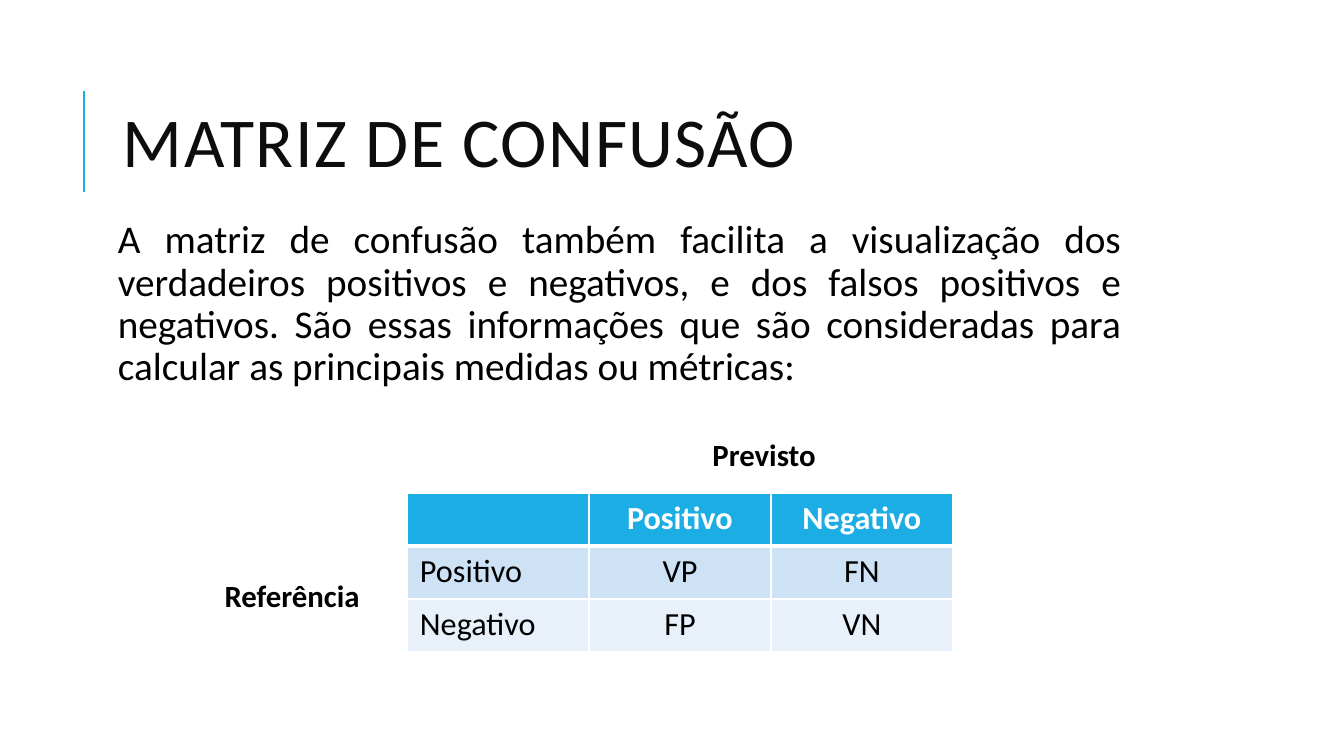
import pptx
import pptx.dml.color
import pptx.enum.shapes
import pptx.enum.text
import pptx.oxml.ns
import pptx.util
from lxml import etree

RGBColor = pptx.dml.color.RGBColor
ALIGN = pptx.enum.text.PP_ALIGN
ANCHOR = pptx.enum.text.MSO_ANCHOR

BLUE = RGBColor(0x1C, 0xAD, 0xE4)
PALE_BLUE = RGBColor(0xCD, 0xE3, 0xF5)
PALER_BLUE = RGBColor(0xE8, 0xF1, 0xFA)
WHITE = RGBColor(0xFF, 0xFF, 0xFF)
BLACK = RGBColor(0, 0, 0)
NEAR_BLACK = RGBColor(0x0D, 0x0D, 0x0D)

FONT = "Calibri"
PIXELS_PER_INCH = 100.8

TITLE = "MATRIZ DE CONFUSÃO"
EXPLANATION = (
    "A matriz de confusão também facilita a visualização dos verdadeiros "
    "positivos e negativos, e dos falsos positivos e negativos. São essas "
    "informações que são consideradas para calcular as principais medidas "
    "ou métricas:"
)
MATRIX = [
    ["", "Positivo", "Negativo"],
    ["Positivo", "VP", "FN"],
    ["Negativo", "FP", "VN"],
]
ROW_FILLS = [BLUE, PALE_BLUE, PALER_BLUE]


def px(pixels):
    """Turn whole pixels into EMU."""
    return pptx.util.Emu(round(pixels * 914400 / PIXELS_PER_INCH))


def style_paragraph(paragraph, size, color, bold=False, align=ALIGN.LEFT):
    """Align a paragraph and format its runs."""
    paragraph.alignment = align
    for run in paragraph.runs:
        run.font.name = FONT
        run.font.size = pptx.util.Pt(size)
        run.font.bold = bold
        run.font.color.rgb = color


def add_text(slide, box, text, size, color, **style):
    """Add a wrapping text box and return its text frame."""
    text_frame = slide.shapes.add_textbox(*map(px, box)).text_frame
    text_frame.word_wrap = True
    text_frame.text = text
    style_paragraph(text_frame.paragraphs[0], size, color, **style)
    return text_frame


def add_title(slide):
    """Add the letter-spaced heading, centred vertically."""
    text_frame = add_text(slide, (113, 65, 1072, 165), TITLE, 50, NEAR_BLACK)
    text_frame.vertical_anchor = ANCHOR.MIDDLE
    paragraph = text_frame.paragraphs[0]
    paragraph.line_spacing = 0.8
    paragraph.runs[0].font._element.set("spc", "100")


def add_explanation(slide):
    """Add the justified paragraph below the heading."""
    text_frame = add_text(slide, (113, 215, 1013, 466), EXPLANATION, 28, BLACK,
                          align=ALIGN.JUSTIFY)
    text_frame.margin_left = text_frame.margin_right = px(5)
    text_frame.margin_top = text_frame.margin_bottom = px(5)
    paragraph = text_frame.paragraphs[0]
    paragraph.line_spacing = 0.9
    paragraph.space_before = pptx.util.Pt(12)
    paragraph.space_after = pptx.util.Pt(2)


def add_accent_line(slide):
    """Add the thin vertical line beside the heading."""
    line = slide.shapes.add_connector(
        pptx.enum.shapes.MSO_CONNECTOR.STRAIGHT, px(84), px(192), px(84), px(91))
    line.line.color.rgb = BLUE
    line.line.width = pptx.util.Pt(1.5)
    etree.SubElement(line._element.spPr, pptx.oxml.ns.qn("a:effectLst"))


def set_cell_borders(cell, widths):
    """Give a cell white borders; widths maps each side to points."""
    properties = cell._tc.get_or_add_tcPr()
    for position, (side, width) in enumerate(widths.items()):
        border = etree.Element(pptx.oxml.ns.qn(f"a:ln{side}"),
                               w=str(pptx.util.Pt(width)))
        fill = etree.SubElement(border, pptx.oxml.ns.qn("a:solidFill"))
        etree.SubElement(fill, pptx.oxml.ns.qn("a:srgbClr"), val=str(WHITE))
        properties.insert(position, border)


def add_matrix(slide):
    """Add the confusion matrix as a table."""
    column_width, row_height = 182, 53
    table = slide.shapes.add_table(
        len(MATRIX), len(MATRIX[0]), px(407), px(493),
        px(column_width * len(MATRIX[0])), px(row_height * len(MATRIX))).table
    for row_index, values in enumerate(MATRIX):
        table.rows[row_index].height = px(row_height)
        is_header = row_index == 0
        for column_index, value in enumerate(values):
            cell = table.cell(row_index, column_index)
            cell.text = value
            cell.margin_left = cell.margin_right = px(13)
            cell.margin_top = cell.margin_bottom = px(6)
            cell.fill.solid()
            cell.fill.fore_color.rgb = ROW_FILLS[row_index]
            style_paragraph(
                cell.text_frame.paragraphs[0], 23,
                WHITE if is_header else BLACK, bold=is_header,
                align=ALIGN.CENTER if column_index else ALIGN.LEFT)
            set_cell_borders(cell, {"L": 1, "R": 1,
                                    "T": 3 if row_index == 1 else 1,
                                    "B": 3 if is_header else 1})


def add_axis_label(slide, box, text):
    """Add a bold centred label for one side of the matrix."""
    add_text(slide, box, text, 22, BLACK, bold=True, align=ALIGN.CENTER)


def main():
    """Build the slide and save it."""
    presentation = pptx.Presentation()
    presentation.slide_width = px(1344)
    presentation.slide_height = px(756)
    slide = presentation.slides.add_slide(presentation.slide_layouts[6])
    add_accent_line(slide)
    add_title(slide)
    add_explanation(slide)
    add_matrix(slide)
    add_axis_label(slide, (672, 431, 184, 47), "Previsto")
    add_axis_label(slide, (184, 572, 216, 47), "Referência")
    presentation.save("out.pptx")


main()
